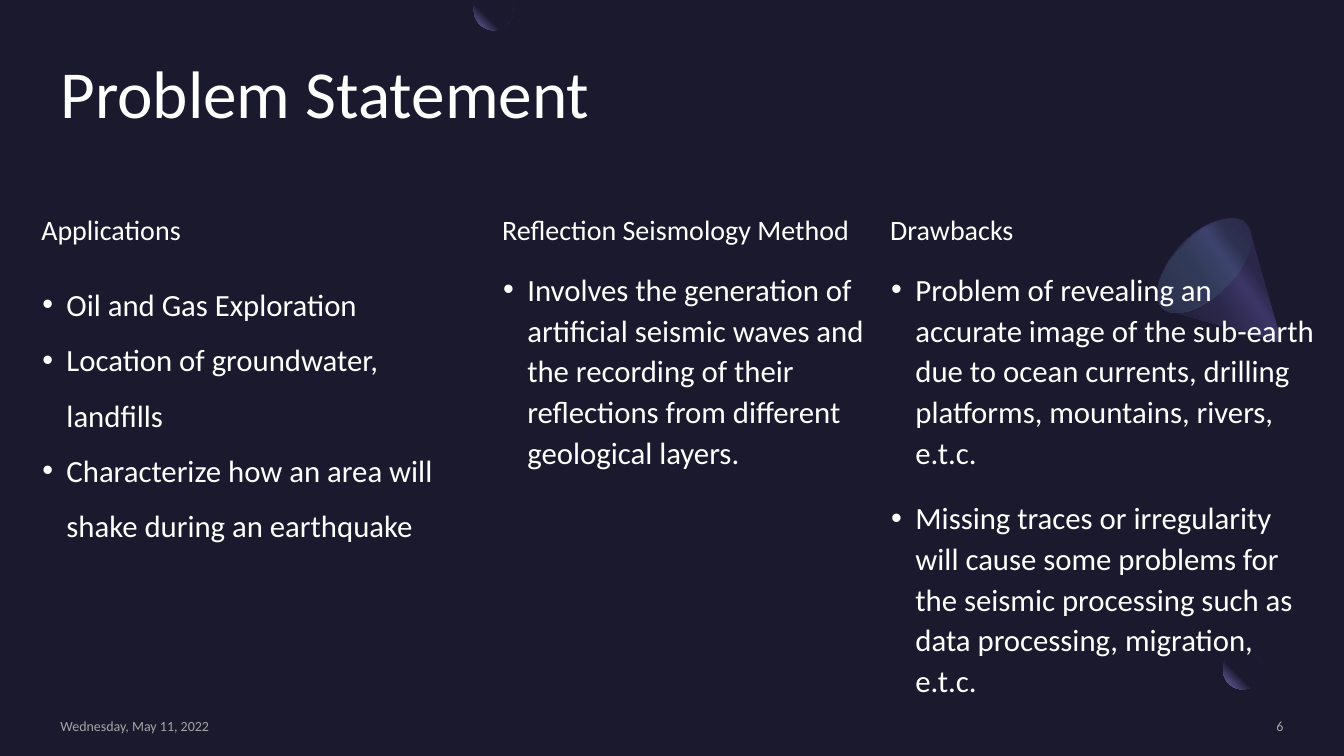
from lxml import etree
from pptx import Presentation
from pptx.dml.color import RGBColor
from pptx.enum.shapes import MSO_SHAPE
from pptx.enum.text import MSO_ANCHOR, PP_ALIGN
from pptx.oxml.ns import qn
from pptx.util import Inches, Pt

OVAL, RECT = MSO_SHAPE.OVAL, MSO_SHAPE.RECTANGLE
TOP, MIDDLE, BOTTOM = MSO_ANCHOR.TOP, MSO_ANCHOR.MIDDLE, MSO_ANCHOR.BOTTOM
LEFT, RIGHT = PP_ALIGN.LEFT, PP_ALIGN.RIGHT

NIGHT = RGBColor(0x1B, 0x19, 0x2E)
LILAC = RGBColor(0x74, 0x6E, 0xB3)
PLUM = RGBColor(0x2B, 0x27, 0x4A)
GRAPE = RGBColor(0x3B, 0x36, 0x66)
VIOLET = RGBColor(0x45, 0x3E, 0x75)
MINT = RGBColor(0x59, 0xEF, 0xC0)
WHITE = RGBColor(0xFF, 0xFF, 0xFF)
GREY = RGBColor(0xA5, 0xA5, 0xA5)

FONT = "Calibri"
WIDTH, HEIGHT = 13.33, 7.5
MARGIN = 0.6
HEAD_TOP, HEAD_TALL = 1.85, 0.59
BODY_TOP = 2.65
GLOW = [(0, NIGHT, 100), (60, NIGHT, 100), (100, LILAC, 100)]
CONE = [(0, PLUM, 100), (30, PLUM, 100), (40, GRAPE, 100),
        (60, PLUM, 100), (100, NIGHT, 100)]
RIM = [(0, VIOLET, 33), (100, MINT, 0)]

# Left edge, width, line spacing, heading, bullets
COLUMNS = [
    (0.41, 4.1, 1.5, "Applications", [
        "Oil and Gas Exploration",
        "Location of groundwater, landfills",
        "Characterize how an area will shake during an earthquake"]),
    (4.98, 3.85, 1.1, "Reflection Seismology Method", [
        "Involves the generation of artificial seismic waves and the "
        "recording of their reflections from different geological layers."]),
    (8.83, 4.24, 1.1, "Drawbacks", [
        "Problem of revealing an accurate image of the sub-earth due to "
        "ocean currents, drilling platforms, mountains, rivers, e.t.c.",
        "Missing traces or irregularity will cause some problems for the "
        "seismic processing such as data processing, migration, e.t.c."]),
]


def tint(parent, color, alpha):
    node = etree.SubElement(parent, qn("a:srgbClr"), val=str(color))
    if alpha < 100:
        etree.SubElement(node, qn("a:alpha"), val=str(alpha * 1000))


def shade(shape, stops, angle=None):
    """Fill with a linear gradient, or one round the top right corner."""
    shape.shadow.inherit = False
    shape.line.fill.background()
    shape.fill.gradient()
    grad = shape._element.spPr.find(qn("a:gradFill"))
    for child in list(grad):
        grad.remove(child)
    grad.set("rotWithShape", "1")
    steps = etree.SubElement(grad, qn("a:gsLst"))
    for place, color, alpha in stops:
        stop = etree.SubElement(steps, qn("a:gs"), pos=str(place * 1000))
        tint(stop, color, alpha)
    if angle is None:
        round_ = etree.SubElement(grad, qn("a:path"), path="circle")
        etree.SubElement(round_, qn("a:fillToRect"), l="100000", b="100000")
    else:
        etree.SubElement(grad, qn("a:lin"), ang=str(angle * 60000), scaled="0")


def add_form(slide, kind, box):
    return slide.shapes.add_shape(kind, *map(Inches, box))


def add_path(slide, box, start, parts):
    """Draw a closed outline of lines (1 point) and Bezier curves (3 points)."""
    left, top, wide, tall = box

    def spot(x, y):
        return Inches(left + x * wide), Inches(top + y * tall)

    points, last = [], start
    for part in parts:
        if len(part) == 1:
            points.append(spot(*part[0]))
        else:
            for step in range(1, 13):
                t = step / 12
                shares = ((1 - t) ** 3, 3 * t * (1 - t) ** 2,
                          3 * t * t * (1 - t), t ** 3)
                points.append(spot(*(
                    sum(s * p[axis] for s, p in zip(shares, (last, *part)))
                    for axis in (0, 1))))
        last = part[-1]
    pen = slide.shapes.build_freeform(*spot(*start))
    pen.add_line_segments(points, close=True)
    return pen.convert_to_shape()


def add_text(slide, box, lines, size, color=WHITE, anchor=TOP, align=LEFT,
             spacing=1.0, bullet=False, gap=0):
    frame = slide.shapes.add_textbox(*map(Inches, box)).text_frame
    frame.word_wrap = True
    frame.vertical_anchor = anchor
    frame.margin_left = frame.margin_right = 0
    frame.margin_top = frame.margin_bottom = 0
    for i, line in enumerate(lines):
        para = frame.add_paragraph() if i else frame.paragraphs[0]
        para.alignment = align
        para.line_spacing = spacing
        para.space_before = Pt(gap if i else 0)
        if bullet:
            props = para._p.get_or_add_pPr()
            props.set("marL", str(Inches(0.25)))
            props.set("indent", str(Inches(-0.24)))
            tint(etree.SubElement(props, qn("a:buClr")), color, 100)
            etree.SubElement(props, qn("a:buFont"), typeface="Arial")
            etree.SubElement(props, qn("a:buChar"), char="•")
        run = para.add_run()
        run.text = line
        run.font.name, run.font.size = FONT, Pt(size)
        run.font.color.rgb = color


def add_dot(slide):
    """Place the lower glowing dot and the veil beside it."""
    shade(add_form(slide, OVAL, (12.13, 6.45, 0.39, 0.39)), GLOW)
    veil = add_form(slide, RECT, (12.52, 6.37, 0.41, 0.39))
    shade(veil, [(0, NIGHT, 80), (100, NIGHT, 80)], 0)


def add_cone(slide):
    side = add_path(slide, (11.45, 2.16, 1.26, 1.24), (1, 1), [
        [(0.1, 0.74)], [(0.06, 0.72)],
        [(-0.03, 0.62), (0.04, 0.4), (0.22, 0.21)],
        [(0.4, 0.02), (0.63, -0.05), (0.72, 0.04)],
        [(0.75, 0.09)]])
    shade(side, CONE, 145)
    rim = add_form(slide, OVAL, (11.65, 2.04, 0.59, 1.18))
    rim.rotation = 225
    shade(rim, RIM, 90)


def add_moon(slide):
    """Place the glowing dot cut by the top edge."""
    moon = add_path(slide, (4.7, 0, 0.39, 0.3), (0.08, 0), [
        [(0.92, 0)], [(0.97, 0.1)],
        [(1, 0.17), (1, 0.25), (1, 0.33)],
        [(1, 0.7), (0.77, 1), (0.5, 1)],
        [(0.23, 1), (0, 0.7), (0, 0.33)],
        [(0, 0.25), (0, 0.17), (0.03, 0.1)]])
    shade(moon, GLOW)


def add_column(slide, left, wide, spacing, head, items):
    add_text(slide, (left, HEAD_TOP, 4.43, HEAD_TALL), [head], 20,
             anchor=BOTTOM, spacing=1.1)
    add_text(slide, (left, BODY_TOP, wide, 3.84), items, 22, spacing=spacing,
             bullet=True, gap=18 if spacing < 1.5 else 0)


def add_footer(slide):
    top, tall = 7.12, 0.17
    add_text(slide, (MARGIN, top, 2.88, tall), ["Wednesday, May 11, 2022"],
             10, GREY, MIDDLE)
    add_text(slide, (WIDTH - MARGIN - 1.85, top, 1.85, tall), ["6"],
             10, GREY, MIDDLE, RIGHT)


def main():
    deck = Presentation()
    deck.slide_width, deck.slide_height = Inches(WIDTH), Inches(HEIGHT)
    slide = deck.slides.add_slide(deck.slide_layouts[6])
    slide.background.fill.solid()
    slide.background.fill.fore_color.rgb = NIGHT
    add_dot(slide)
    add_cone(slide)
    add_moon(slide)
    add_text(slide, (MARGIN, MARGIN, WIDTH - 2 * MARGIN, 0.87),
             ["Problem Statement"], 48, spacing=0.9)
    for column in COLUMNS:
        add_column(slide, *column)
    add_footer(slide)
    deck.save("out.pptx")


if __name__ == "__main__":
    main()
